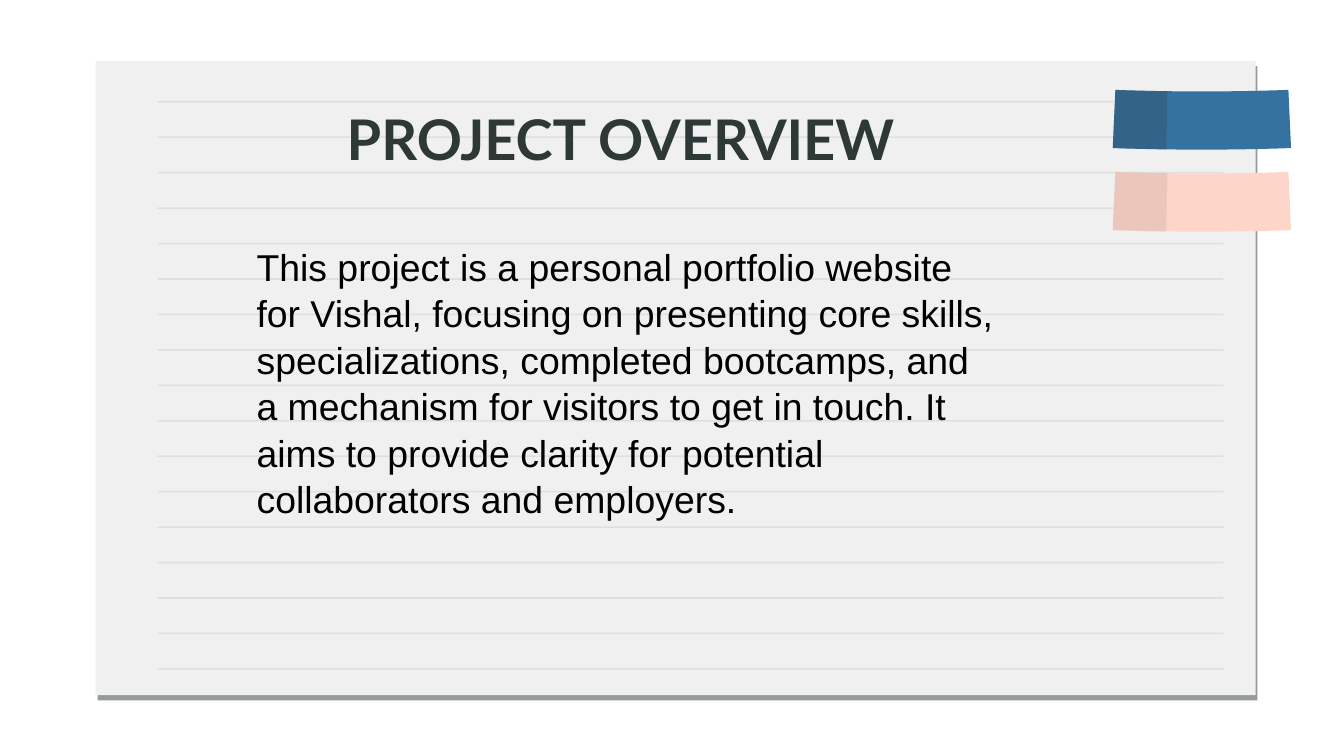
import pptx
import pptx.util
import pptx.dml.color
import pptx.enum.shapes
import pptx.enum.text
import pptx.oxml
import pptx.oxml.ns
import lxml.etree

Cm = pptx.util.Cm
Pt = pptx.util.Pt
INK = "2D3837"
BODY = ("This project is a personal portfolio website for Vishal, focusing on "
        "presenting core skills, specializations, completed bootcamps, and a "
        "mechanism for visitors to get in touch. It aims to provide clarity "
        "for potential collaborators and employers.")


def rgb(code):
    return pptx.dml.color.RGBColor.from_string(code)


def paint(shape, code, alpha=100):
    """Flat fill without line or shadow; alpha in percent."""
    shape.shadow.inherit = False
    shape.line.fill.background()
    shape.fill.solid()
    shape.fill.fore_color.rgb = rgb(code)
    if alpha < 100:
        tint = shape.element.spPr.find(".//" + pptx.oxml.ns.qn("a:srgbClr"))
        lxml.etree.SubElement(tint, pptx.oxml.ns.qn("a:alpha"),
                              val=str(alpha * 1000))


def block(page, left, top, width, height, code, alpha=100):
    kind = pptx.enum.shapes.MSO_SHAPE.RECTANGLE
    shape = page.shapes.add_shape(kind, Cm(left), Cm(top), Cm(width), Cm(height))
    paint(shape, code, alpha)
    return shape


def drop(shape):
    """Hard shadow just below the sheet."""
    ns = pptx.oxml.ns.nsdecls("a")
    cast = pptx.oxml.parse_xml(
        f'<a:outerShdw {ns} blurRad="0" dist="{Pt(3)}" dir="{70 * 60000}" '
        f'algn="bl" rotWithShape="0"><a:srgbClr val="{INK}">'
        '<a:alpha val="50000"/></a:srgbClr></a:outerShdw>')
    shape.element.spPr.find(pptx.oxml.ns.qn("a:effectLst")).append(cast)


def paper(page, left, top, width, height):
    """Ruled sheet."""
    drop(block(page, left, top, width, height, "F0F0F0"))
    for row in range(17):
        block(page, left + 1.17, top + 0.76 + row * 0.67,
              width - 1.78, 0.03, INK, 9)


def strip(page, left, top, width, height, part, code, alpha=100):
    """Bowed strip of tape, drawn from its left end up to the given part."""
    lean, bow, steps = 0.05, 0.03, 12
    ts = [part * i / steps for i in range(steps + 1)]
    sag = [4 * bow * t * (1 - t) for t in ts]
    upper = [(lean + (width - 2 * lean) * t, s) for t, s in zip(ts, sag)]
    lower = [(width * t, height - bow + s) for t, s in zip(ts, sag)]
    dots = [(Cm(left + x), Cm(top + y)) for x, y in upper + lower[::-1]]
    pen = page.shapes.build_freeform(*dots[0], scale=1.0)
    pen.add_line_segments(dots[1:], close=True)
    paint(pen.convert_to_shape(), code, alpha)


def tape(page, left, top, width, height, code, shade):
    """Coloured tape with a darker left end."""
    strip(page, left, top, width, height, 1, code)
    strip(page, left, top, width, height, 0.3, INK, shade)


def heading(page, left, top, width, height):
    title = page.shapes.title
    title.left, title.top = Cm(left), Cm(top)
    title.width, title.height = Cm(width), Cm(height)
    page.shapes.element.append(title.element)  # bring in front of the sheet
    frame = title.text_frame
    frame.text = "PROJECT OVERVIEW "
    frame.auto_size = pptx.enum.text.MSO_AUTO_SIZE.NONE
    frame.vertical_anchor = pptx.enum.text.MSO_ANCHOR.MIDDLE
    para = frame.paragraphs[0]
    para.alignment = pptx.enum.text.PP_ALIGN.CENTER
    style(para, "Lato", 30, INK, True)


def body(page, left, top, width, height):
    box = page.shapes.add_textbox(Cm(left), Cm(top), Cm(width), Cm(height))
    frame = box.text_frame
    frame.word_wrap = True
    frame.text = BODY
    para = frame.paragraphs[0]
    para.line_spacing = 1.04
    style(para, "Arial", 20, "000000")


def style(para, name, size, code, bold=False):
    font = para.font
    font.name, font.size, font.bold = name, Pt(size), bold
    font.color.rgb = rgb(code)


def main():
    deck = pptx.Presentation()
    deck.slide_width, deck.slide_height = Cm(25.4), Cm(14.29)
    page = deck.slides.add_slide(deck.slide_layouts[5])
    # Sheet and title
    paper(page, 1.81, 1.15, 21.92, 11.99)
    heading(page, 1.63, 1.73, 20.45, 1.78)
    # Tapes on the right edge
    tapes = [("3572A0", 23), ("FDD5C9", 9)]
    for row, (code, shade) in enumerate(tapes):
        tape(page, 21.03, 1.7 + row * 1.55, 3.37, 1.13, code, shade)
    # Description
    body(page, 4.6, 4.45, 14.45, 6.17)
    deck.save("out.pptx")


if __name__ == "__main__":
    main()
